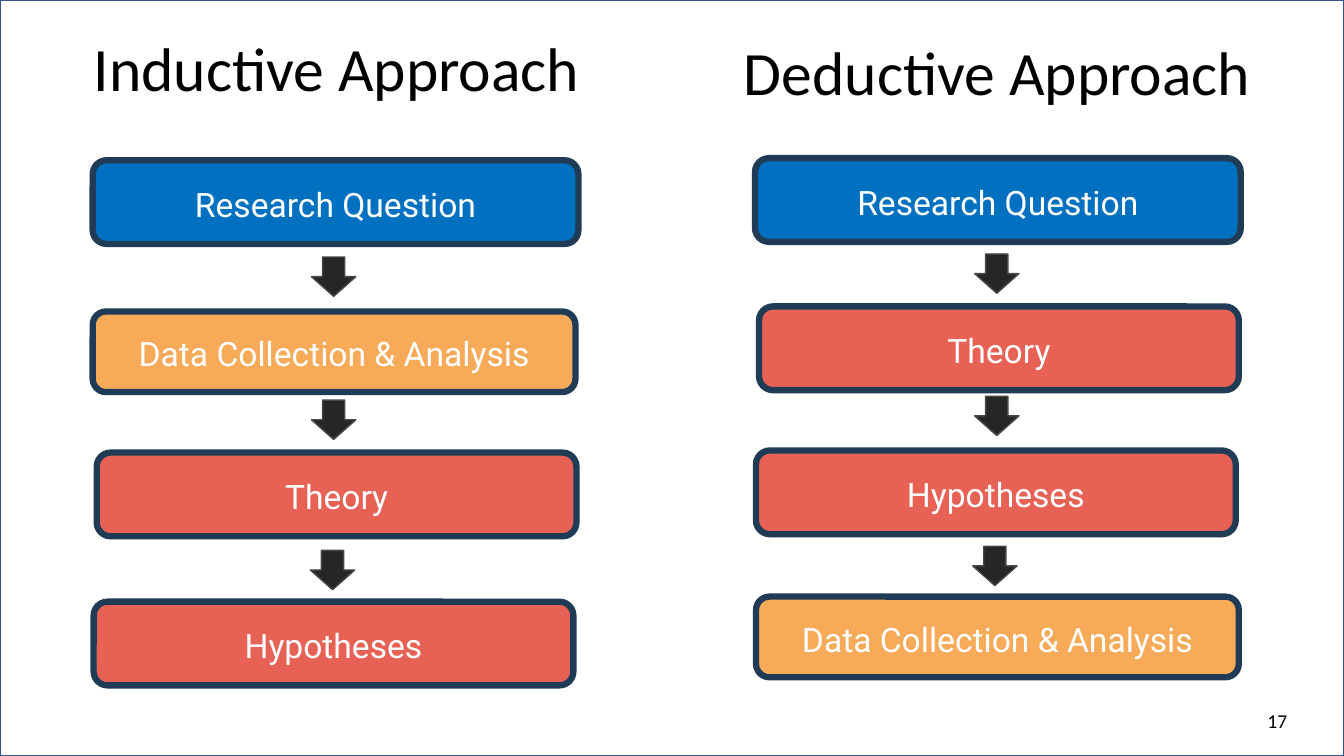
from dataclasses import dataclass

from pptx import Presentation
from pptx.dml.color import RGBColor
from pptx.enum.shapes import MSO_SHAPE as Preset
from pptx.enum.text import MSO_ANCHOR as Anchor, MSO_AUTO_SIZE as AutoSize, PP_ALIGN as Align
from pptx.util import Pt


@dataclass(frozen=True)
class Theme:
    paper: str = "FFFFFF"
    frame: str = "325491"
    ink: str = "000000"
    light: str = "FFFFFF"
    outline: str = "203B56"
    blue: str = "0070C0"
    orange: str = "F7AA58"
    red: str = "E76254"
    arrow: str = "262626"
    arrow_edge: str = "484848"
    heading_font: str = "Calibri"
    step_font: str = "Roboto"
    heading_size: float = 44
    step_size: float = 24
    number_size: float = 14


@dataclass(frozen=True)
class Box:
    left: float
    top: float
    width: float
    height: float

    def inside(self, dx, dy, width, height):
        """Box of the given size, offset from this one's corner."""
        return Box(self.left + dx, self.top + dy, width, height)

    def lengths(self):
        return [Pt(v) for v in (self.left, self.top, self.width, self.height)]


@dataclass(frozen=True)
class Step:
    label: str
    width: float
    height: float
    fill: str


THEME = Theme()
PAGE = Box(0, 0, 960, 540)
ARROW_SIZE = (31.7, 28.1)
HEADING_SIZE = (396.7, 60.5)

QUESTION = Step("Research Question", 347, 59.8, THEME.blue)
DATA = Step("Data Collection & Analysis", 344.9, 57.6, THEME.orange)
THEORY = Step("Theory", 342.7, 59.8, THEME.red)
HYPOTHESES = Step("Hypotheses", 342.7, 59.8, THEME.red)

# Steps and arrows are offsets (dx, dy) from the corner of their column.
INDUCTIVE_STEPS = [
    (QUESTION, 0, 96.5), (DATA, 0, 204.5), (THEORY, 2.9, 305.3), (HYPOTHESES, 0.7, 411.8),
]
INDUCTIVE_ARROWS = [(156.3, 165.6), (156.3, 267.8), (155.5, 375.1)]
DEDUCTIVE_STEPS = [
    (QUESTION, 0, 92.1), (THEORY, 2.9, 198), (HYPOTHESES, 0.7, 300.9), (DATA, 0.7, 405.3),
]
DEDUCTIVE_ARROWS = [(156.9, 160.5), (156.9, 262.1), (155.5, 369.3)]


def write(frame, text, font, size, color, align, anchor):
    frame.word_wrap = True
    frame.auto_size = AutoSize.NONE
    frame.vertical_anchor = anchor
    para = frame.paragraphs[0]
    para.alignment = align
    para.space_before = Pt(0)
    span = para.add_run()
    span.text = text
    span.font.name = font
    span.font.size = Pt(size)
    span.font.bold = False
    span.font.color.rgb = RGBColor.from_string(color)


def add_preset(page, preset, box, fill, edge, edge_width):
    shape = page.shapes.add_shape(preset, *box.lengths())
    shape.shadow.inherit = False
    shape.fill.solid()
    shape.fill.fore_color.rgb = RGBColor.from_string(fill)
    shape.line.color.rgb = RGBColor.from_string(edge)
    shape.line.width = Pt(edge_width)
    return shape


def place_heading(holder, box, text):
    holder.left, holder.top, holder.width, holder.height = box.lengths()
    write(holder.text_frame, text, THEME.heading_font, THEME.heading_size,
          THEME.ink, Align.LEFT, Anchor.TOP)


def add_step(page, box, step):
    shape = add_preset(page, Preset.ROUNDED_RECTANGLE, box, step.fill, THEME.outline, 4.5)
    shape.text_frame.margin_top = Pt(6)
    write(shape.text_frame, step.label, THEME.step_font, THEME.step_size,
          THEME.light, Align.CENTER, Anchor.MIDDLE)


def add_approach(page, holder, box, heading, heading_dx, steps, arrows):
    """Fill one column with its heading, its steps and the arrows between them."""
    place_heading(holder, box.inside(heading_dx, 0, *HEADING_SIZE), heading)
    for step, dx, dy in steps:
        add_step(page, box.inside(dx, dy, step.width, step.height), step)
    for dx, dy in arrows:
        add_preset(page, Preset.DOWN_ARROW, box.inside(dx, dy, *ARROW_SIZE),
                   THEME.arrow, THEME.arrow_edge, 1)


def add_page_number(page, box, number):
    label = page.shapes.add_textbox(*box.lengths())
    write(label.text_frame, number, THEME.heading_font, THEME.number_size,
          THEME.ink, Align.RIGHT, Anchor.MIDDLE)


def build_comparison(deck):
    page = deck.slides.add_slide(deck.slide_layouts.get_by_name("Comparison"))
    title, second_heading, *spare = page.placeholders
    for holder in spare:
        holder.element.getparent().remove(holder.element)

    backdrop = add_preset(page, Preset.RECTANGLE, PAGE, THEME.paper, THEME.frame, 1)
    title.element.addprevious(backdrop.element)

    add_approach(page, title, PAGE.inside(66.2, 18, 347, 472), "Inductive Approach",
                 -6.5, INDUCTIVE_STEPS, INDUCTIVE_ARROWS)
    add_approach(page, second_heading, PAGE.inside(539.3, 20.9, 347, 464),
                 "Deductive Approach", -15.1, DEDUCTIVE_STEPS, DEDUCTIVE_ARROWS)
    add_page_number(page, PAGE.inside(710.6, 500.4, 216, 28.8), "17")


def main():
    deck = Presentation()
    deck.slide_width, deck.slide_height = Pt(PAGE.width), Pt(PAGE.height)
    build_comparison(deck)
    deck.save("out.pptx")


if __name__ == "__main__":
    main()
